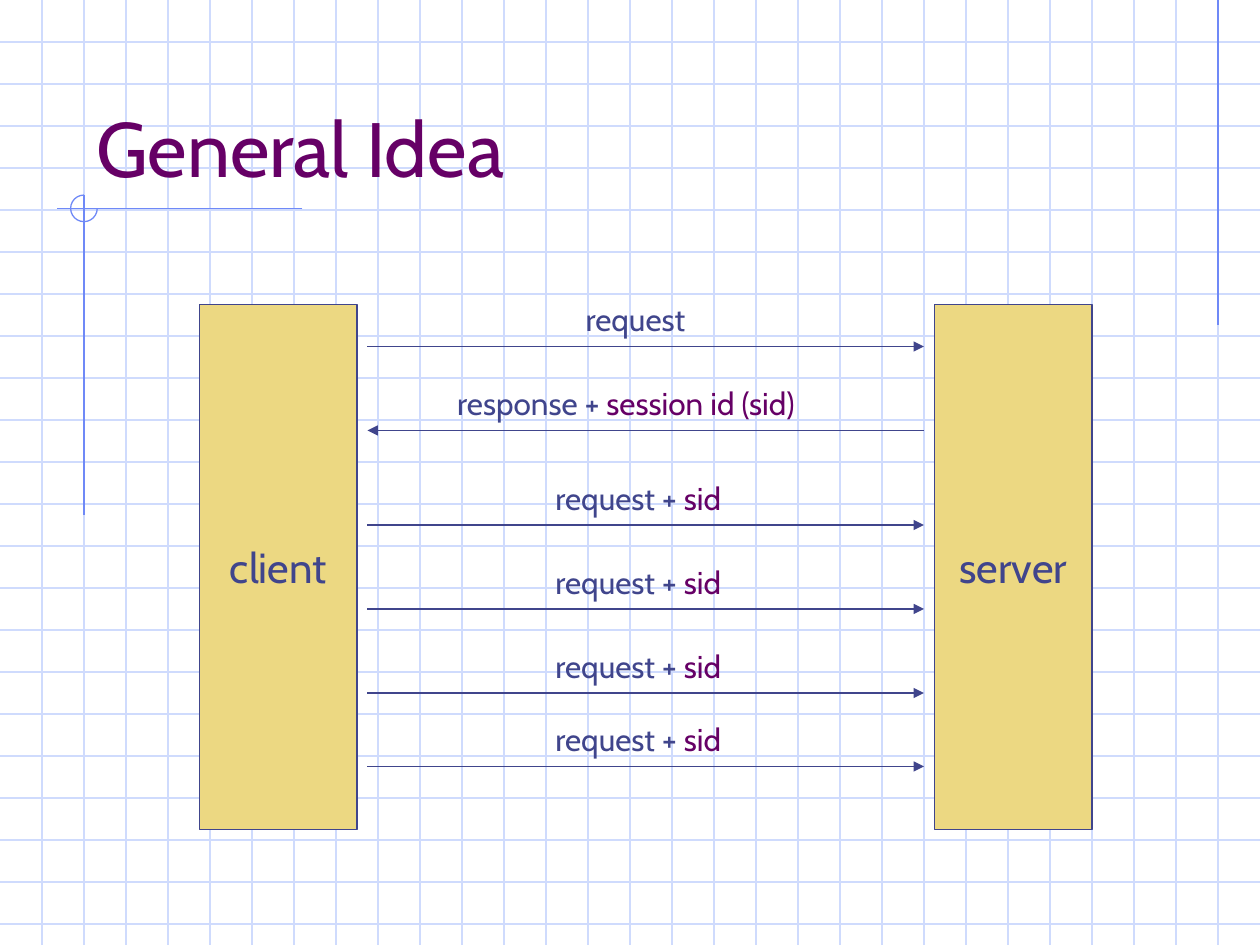
from lxml.etree import SubElement
from pptx import Presentation
from pptx.dml.color import RGBColor
from pptx.enum.shapes import MSO_CONNECTOR, MSO_SHAPE
from pptx.enum.text import MSO_ANCHOR, PP_ALIGN
from pptx.oxml.ns import qn
from pptx.util import Pt

WIDE, HIGH, STEP = 720, 540, 24
INK, PLUM, SAND, GRID, BLUE = "40458C", "660066", "ECD882", "CFDBFD", "6F89F7"

TITLE = "General Idea"
BOXES = [("client", 114), ("server", 534)]
BOX_TOP, BOX_WIDE, BOX_HIGH, GAP = 174, 90, 300, 6
SID = [("request + ", INK), ("sid", PLUM)]
# line height, label left, label width, goes to server, label runs
CALLS = [
    (198, 327.6, 79.2, True, [("request", INK)]),
    (246, 254.2, 234.7, False,
     [("response + ", INK), ("session id (sid)", PLUM)]),
    (300, 310.3, 123.1, True, SID),
    (348, 310.3, 123.1, True, SID),
    (396, 310.3, 123.1, True, SID),
    (438, 310.3, 123.1, True, SID),
]
HUB_X, HUB_Y, HUB_R = 48, 119.1, 7.6
RULES = [
    (696, 0, 696, 186),
    (172.8, HUB_Y, 32.4, HUB_Y),
    (HUB_X, 111.5, HUB_X, 294.5),
]


def rgb(code):
    return RGBColor.from_string(code)


def style(font, size, color):
    font.name, font.size, font.bold = "Cabin", Pt(size), False
    font.color.rgb = rgb(color)


def stroke(shape, color):
    shape.line.color.rgb = rgb(color)
    shape.line.width = Pt(0.75)


def draw(shapes, ends, color, arrow=False):
    line = shapes.add_connector(MSO_CONNECTOR.STRAIGHT, *map(Pt, ends))
    stroke(line, color)
    if arrow:
        SubElement(line.line._get_or_add_ln(), qn("a:tailEnd"), type="triangle")
    SubElement(line._element.spPr, qn("a:effectLst"))


def add_grid(slide):
    grid = slide.shapes.add_group_shape().shapes
    for y in range(STEP, HIGH, STEP):
        draw(grid, (0, y, WIDE, y), GRID)
    for x in range(STEP, WIDE, STEP):
        draw(grid, (x, 0, x, HIGH), GRID)
    for ends in RULES:
        draw(grid, ends, BLUE)
    arc = grid.add_shape(MSO_SHAPE.ARC, Pt(HUB_X - HUB_R), Pt(HUB_Y - HUB_R),
                         Pt(2 * HUB_R), Pt(2 * HUB_R))
    arc.adjustments[0], arc.adjustments[1] = 0, 162  # 270 degrees
    arc.shadow.inherit = False
    arc.fill.background()
    stroke(arc, BLUE)


def add_title(slide):
    title = slide.shapes.title
    slide.shapes._spTree.append(title._element)  # bring in front of the grid
    title.left, title.top, title.width, title.height = map(Pt, (48, 24, 612, 90))
    frame = title.text_frame
    frame.text = TITLE
    frame.vertical_anchor = MSO_ANCHOR.BOTTOM
    para = frame.paragraphs[0]
    para.alignment = PP_ALIGN.LEFT
    style(para.runs[0].font, 44, PLUM)


def add_box(slide, name, left):
    box = slide.shapes.add_shape(MSO_SHAPE.RECTANGLE, Pt(left), Pt(BOX_TOP),
                                 Pt(BOX_WIDE), Pt(BOX_HIGH))
    box.shadow.inherit = False
    box.fill.solid()
    box.fill.fore_color.rgb = rgb(SAND)
    stroke(box, INK)
    frame = box.text_frame
    frame.text = name
    frame.word_wrap = False
    frame.vertical_anchor = MSO_ANCHOR.MIDDLE
    para = frame.paragraphs[0]
    para.alignment = PP_ALIGN.CENTER
    style(para.runs[0].font, 24, INK)


def add_call(slide, y, left, width, ahead, parts):
    ends = [BOXES[0][1] + BOX_WIDE + GAP, BOXES[1][1] - GAP]
    start, stop = ends if ahead else ends[::-1]
    draw(slide.shapes, (start, y, stop, y), INK, arrow=True)
    label = slide.shapes.add_textbox(Pt(left), Pt(y - 30), Pt(width), Pt(28.8))
    label.text_frame.word_wrap = True
    para = label.text_frame.paragraphs[0]
    for text, color in parts:
        run = para.add_run()
        run.text = text
        style(run.font, 18, color)


def main():
    deck = Presentation()
    deck.slide_width, deck.slide_height = Pt(WIDE), Pt(HIGH)
    slide = deck.slides.add_slide(deck.slide_layouts[5])
    slide.background.fill.solid()
    slide.background.fill.fore_color.rgb = rgb("FFFFFF")
    add_grid(slide)
    add_title(slide)
    for box in BOXES:
        add_box(slide, *box)
    for call in CALLS:
        add_call(slide, *call)
    deck.save("out.pptx")


if __name__ == "__main__":
    main()
